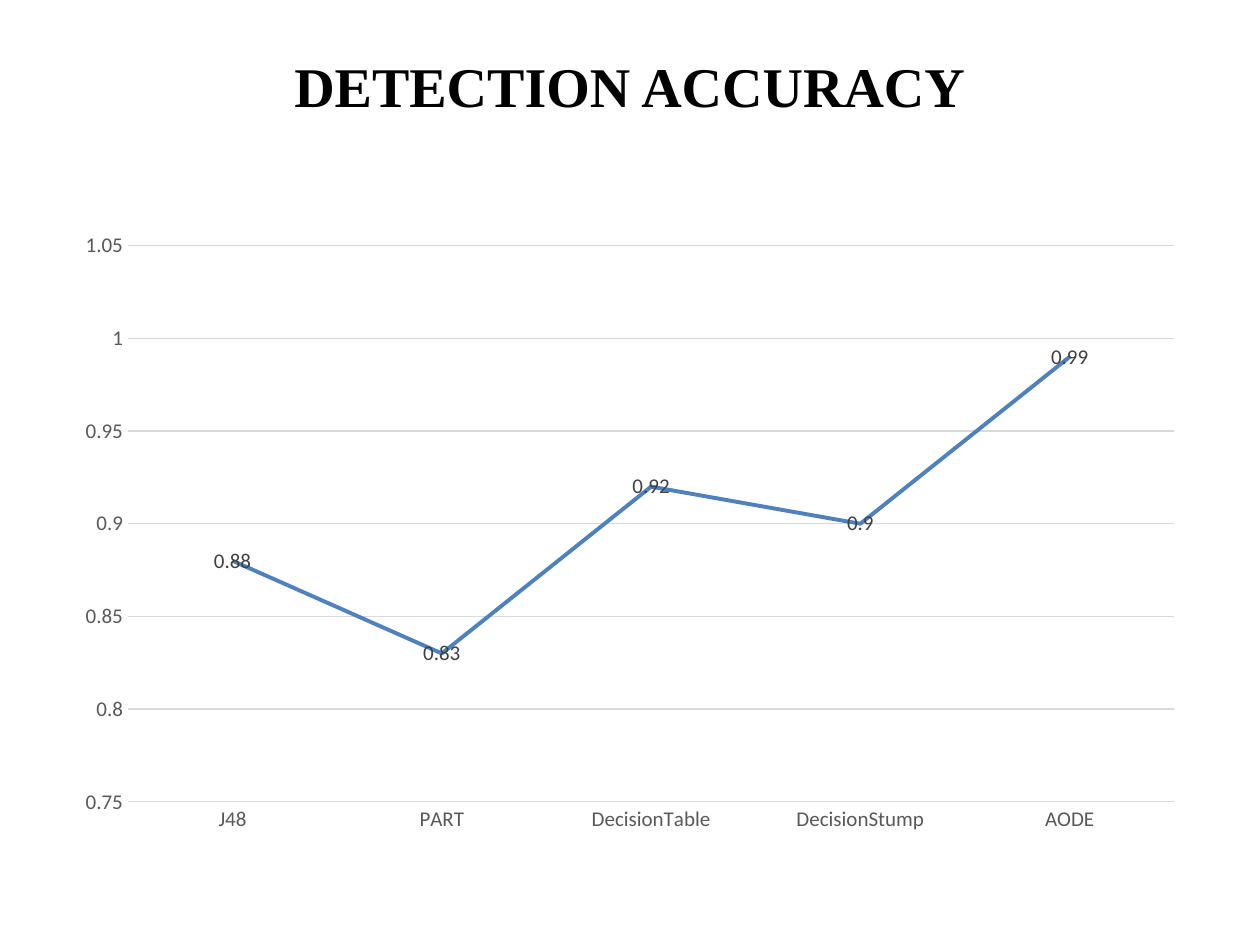
"""Builds a slide with a line chart of detection accuracy per classifier."""
import pptx
import pptx.chart.data
import pptx.dml.color
import pptx.enum.chart
import pptx.enum.text
import pptx.util
from pptx.util import Cm, Pt

TITLE = "DETECTION ACCURACY"
ACCURACY = {"J48": 0.88, "PART": 0.83, "DecisionTable": 0.92, "DecisionStump": 0.9, "AODE": 0.99}
AXIS_MIN, AXIS_MAX, AXIS_STEP = 0.75, 1.05, 0.05
WIDTH, HEIGHT, MARGIN = 25.4, 19.05, 1.27
INK, GREY, DARK, RULE, BLUE = "000000", "595959", "404040", "D9D9D9", "4F81BD"


def color(value):
    return pptx.dml.color.RGBColor.from_string(value)


def style_font(font, size, value, name="Calibri", bold=False):
    font.name, font.size, font.bold = name, Pt(size), bold
    font.color.rgb = color(value)


def style_line(line, width, value):
    line.width = Pt(width)
    line.color.rgb = color(value)


def add_title(s):
    sp = s.shapes.add_textbox(Cm(MARGIN), Cm(0.76), Cm(WIDTH - 2 * MARGIN), Cm(3.18))
    tf = sp.text_frame
    tf.word_wrap = True
    tf.vertical_anchor = pptx.enum.text.MSO_ANCHOR.MIDDLE
    tf.margin_bottom = Cm(1.4)
    tf.text = TITLE
    p = tf.paragraphs[0]
    p.alignment = pptx.enum.text.PP_ALIGN.CENTER
    style_font(p.runs[0].font, 32, INK, "Times New Roman", True)


def add_accuracy_chart(s):
    data = pptx.chart.data.CategoryChartData()
    data.categories = list(ACCURACY)
    data.add_series("Series 1", list(ACCURACY.values()))
    chart = s.shapes.add_chart(
        pptx.enum.chart.XL_CHART_TYPE.LINE_STACKED,
        Cm(MARGIN), Cm(4.45), Cm(WIDTH - 2 * MARGIN), Cm(12.57), data).chart
    chart.has_title = chart.has_legend = False
    style_font(chart.font, 10, INK)

    cat, val = chart.category_axis, chart.value_axis
    for axis in (cat, val):
        axis.major_tick_mark = axis.minor_tick_mark = pptx.enum.chart.XL_TICK_MARK.NONE
        style_font(axis.tick_labels.font, 12, GREY)
    style_line(cat.format.line, 0.75, RULE)
    val.format.line.fill.background()
    val.minimum_scale, val.maximum_scale, val.major_unit = AXIS_MIN, AXIS_MAX, AXIS_STEP
    val.has_major_gridlines = True
    style_line(val.major_gridlines.format.line, 0.75, RULE)

    plot = chart.plots[0]
    plot.vary_by_categories = False
    series = plot.series[0]
    series.smooth = False
    series.marker.style = pptx.enum.chart.XL_MARKER_STYLE.NONE
    style_line(series.format.line, 2.25, BLUE)
    labels = series.data_labels
    labels.show_value = True
    labels.position = pptx.enum.chart.XL_LABEL_POSITION.CENTER
    style_font(labels.font, 12, DARK)


def main():
    prs = pptx.Presentation()
    prs.slide_width, prs.slide_height = Cm(WIDTH), Cm(HEIGHT)
    s = prs.slides.add_slide(prs.slide_layouts[6])
    add_title(s)
    add_accuracy_chart(s)
    prs.save("out.pptx")


if __name__ == "__main__":
    main()
